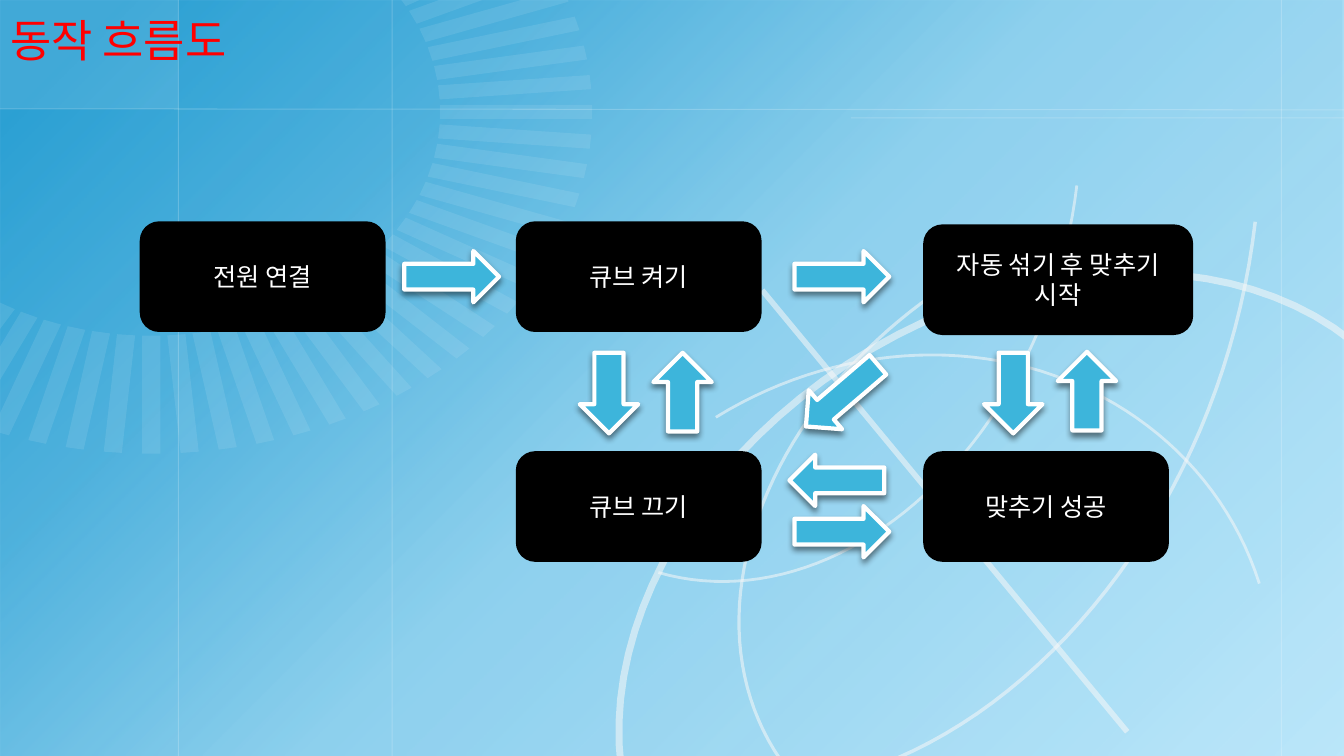
"""Build the flow chart slide of a motorised cube."""

import dataclasses
import math
import typing

import lxml.etree
import pptx
import pptx.dml.color
import pptx.enum.shapes
import pptx.enum.text
import pptx.oxml.ns
import pptx.util

PX = 9144
SLIDE_WIDTH, SLIDE_HEIGHT = 1333, 750
TITLE_ONLY = 5
Preset = pptx.enum.shapes.MSO_SHAPE
Point = tuple[float, float]
qn = pptx.oxml.ns.qn


@dataclasses.dataclass(frozen=True)
class Theme:
    font: str = "Calibri"
    title_size: int = 32
    step_size: int = 18
    title: str = "FF0000"
    sky: str = "BCE7FA"
    deep: str = "0F92CC"
    white: str = "FFFFFF"
    ray: str = "F2FAFE"
    orbit: str = "F8F8F8"
    step: str = "000000"
    arrow: str = "3DB5DB"


@dataclasses.dataclass(frozen=True)
class Step:
    text: str
    left: int
    top: int
    width: int = 241
    height: int = 107


@dataclasses.dataclass(frozen=True)
class Arrow:
    preset: Preset
    left: int
    top: int
    width: int
    height: int
    rotation: float = 0


@dataclasses.dataclass(frozen=True)
class Line:
    start: Point
    end: Point
    width: float = 0.75
    color: str = Theme.white
    opacity: int = 20


@dataclasses.dataclass(frozen=True)
class Orbit:
    width: float
    start: Point
    curves: tuple[tuple[Point, Point, Point], ...]


THEME = Theme()
STEPS = (
    Step("전원 연결", 140, 221),
    Step("큐브 켜기", 513, 221),
    Step("자동 섞기 후 맞추기 시작", 917, 224, 265),
    Step("큐브 끄기", 513, 449),
    Step("맞추기 성공", 917, 449),
)
ARROWS = (
    Arrow(Preset.RIGHT_ARROW, 401, 249, 94, 51),
    Arrow(Preset.RIGHT_ARROW, 788, 249, 94, 51),
    Arrow(Preset.DOWN_ARROW, 575, 350, 58, 80),
    Arrow(Preset.DOWN_ARROW, 648, 350, 58, 78, 180),
    Arrow(Preset.DOWN_ARROW, 976, 350, 58, 80),
    Arrow(Preset.DOWN_ARROW, 1049, 349, 58, 78, 180),
    Arrow(Preset.RIGHT_ARROW, 788, 367, 94, 51, 139.4),
    Arrow(Preset.RIGHT_ARROW, 783, 451, 94, 51, 180),
    Arrow(Preset.RIGHT_ARROW, 788, 502, 94, 51),
)
GUIDES = tuple(Line((x, 0), (x, SLIDE_HEIGHT)) for x in (177, 389, 1271)) + (
    Line((0, 108), (SLIDE_WIDTH, 109)),
    Line((844, 117), (SLIDE_WIDTH, 117)),
)
AXIS = Line((756, 288), (1118, 726), 4, THEME.orbit, 55)
ORBITS = (
    Orbit(5, (641, 845), (((562, 686), (661, 465), (865, 346)),
                          ((1069, 227), (1305, 252), (1398, 403)))),
    Orbit(2, (710, 414), (((809, 353), (927, 336), (1032, 368)),
                          ((1137, 401), (1217, 478), (1249, 579)))),
    Orbit(2.25, (953, 274), (((848, 339), (771, 436), (744, 538)),
                             ((716, 639), (742, 735), (812, 796)))),
    Orbit(2, (653, 568), (((739, 593), (837, 565), (918, 490)),
                          ((999, 416), (1054, 303), (1068, 184)))),
    Orbit(2.5, (648, 771), (((773, 808), (913, 767), (1029, 660)),
                            ((1146, 552), (1225, 391), (1245, 220)))),
)


def rgb(color: str) -> pptx.dml.color.RGBColor:
    return pptx.dml.color.RGBColor.from_string(color)


def add_effects(shape: typing.Any) -> typing.Any:
    return lxml.etree.SubElement(shape.element.spPr, qn("a:effectLst"))


def set_opacity(shape: typing.Any, percents: typing.Sequence[int]) -> None:
    for color, percent in zip(shape.element.spPr.iter(qn("a:srgbClr")), percents):
        lxml.etree.SubElement(color, qn("a:alpha"), val=str(percent * 1000))


def paint(shape: typing.Any, fill: str, line: str = "", width: float = 0) -> None:
    shape.fill.solid()
    shape.fill.fore_color.rgb = rgb(fill)
    if line:
        shape.line.color.rgb = rgb(line)
        shape.line.width = pptx.util.Pt(width)
    else:
        shape.line.fill.background()


def add_preset(shapes: typing.Any, preset: Preset, *box: int) -> typing.Any:
    return shapes.add_shape(preset, *(length * PX for length in box))


def add_outline(shapes: typing.Any, points: list[Point], close: bool) -> typing.Any:
    scaled = [(round(x * PX), round(y * PX)) for x, y in points]
    builder = shapes.build_freeform(*scaled[0], scale=1.0)
    builder.add_line_segments(scaled[1:], close=close)
    shape = builder.convert_to_shape()
    shape.shadow.inherit = False
    return shape


def add_line(shapes: typing.Any, line: Line) -> None:
    ends = (round(length * PX) for length in (*line.start, *line.end))
    connector = shapes.add_connector(pptx.enum.shapes.MSO_CONNECTOR.STRAIGHT, *ends)
    connector.line.color.rgb = rgb(line.color)
    connector.line.width = pptx.util.Pt(line.width)
    set_opacity(connector, [line.opacity])
    add_effects(connector)


def add_gradient(shapes: typing.Any) -> None:
    shape = add_preset(shapes, Preset.RECTANGLE, 0, 0, SLIDE_WIDTH, SLIDE_HEIGHT)
    shape.line.fill.background()
    gradient = lxml.etree.Element(qn("a:gradFill"), rotWithShape="1")
    stops = lxml.etree.SubElement(gradient, qn("a:gsLst"))
    for position in (6, 26, 50, 100):
        stop = lxml.etree.SubElement(stops, qn("a:gs"), pos=str(position * 1000))
        lxml.etree.SubElement(stop, qn("a:srgbClr"), val=THEME.deep)
    lxml.etree.SubElement(gradient, qn("a:lin"), ang=str(45 * 60000), scaled="0")
    shape.element.spPr.find(qn("a:prstGeom")).addnext(gradient)
    set_opacity(shape, (83, 63, 27, 0))
    shape.shadow.inherit = False


def add_rays(shapes: typing.Any) -> None:
    center_x, center_y, stretch = 150, 111, 1.29
    inner, outer, half = 222, 339, 7
    for degrees in range(-30, 121, 5):
        cos, sin = math.cos(math.radians(degrees)), math.sin(math.radians(degrees))
        corners = ((inner, -half), (outer, -half), (outer, half), (inner, half))
        points = [(center_x + stretch * (radius * cos - side * sin),
                   center_y + radius * sin + side * cos) for radius, side in corners]
        ray = add_outline(shapes, points, True)
        paint(ray, THEME.ray)
        set_opacity(ray, [10])


def add_orbit(shapes: typing.Any, orbit: Orbit) -> None:
    points = [orbit.start]
    for curve in orbit.curves:
        controls = (points[-1], *curve)
        for number in range(1, 25):
            t = number / 24
            weights = [math.comb(3, k) * t**k * (1 - t) ** (3 - k) for k in range(4)]
            points.append((sum(w * p[0] for w, p in zip(weights, controls)),
                           sum(w * p[1] for w, p in zip(weights, controls))))
    shape = add_outline(shapes, points, False)
    shape.fill.background()
    shape.line.color.rgb = rgb(THEME.orbit)
    shape.line.width = pptx.util.Pt(orbit.width)
    set_opacity(shape, [55])


def write(shape: typing.Any, text: str, size: int, color: str,
          align: pptx.enum.text.PP_ALIGN, anchor: pptx.enum.text.MSO_ANCHOR) -> None:
    frame = shape.text_frame
    frame.text = text
    frame.word_wrap = True
    frame.auto_size = pptx.enum.text.MSO_AUTO_SIZE.NONE
    frame.vertical_anchor = anchor
    paragraph = frame.paragraphs[0]
    paragraph.alignment = align
    font = paragraph.runs[0].font
    font.name, font.size, font.color.rgb = THEME.font, pptx.util.Pt(size), rgb(color)


def add_step(shapes: typing.Any, step: Step) -> None:
    shape = add_preset(shapes, Preset.ROUNDED_RECTANGLE, step.left, step.top, step.width, step.height)
    paint(shape, THEME.step, THEME.step, 2)
    shape.shadow.inherit = False
    write(shape, step.text, THEME.step_size, THEME.white,
          pptx.enum.text.PP_ALIGN.CENTER, pptx.enum.text.MSO_ANCHOR.MIDDLE)


def add_arrow(shapes: typing.Any, arrow: Arrow) -> None:
    shape = add_preset(shapes, arrow.preset, arrow.left, arrow.top, arrow.width, arrow.height)
    shape.rotation = arrow.rotation
    paint(shape, THEME.arrow, THEME.white, 3)
    shadow = lxml.etree.SubElement(
        add_effects(shape), qn("a:outerShdw"), blurRad=str(pptx.util.Pt(4.5)),
        dist=str(pptx.util.Pt(3)), dir=str(90 * 60000), rotWithShape="0")
    color = lxml.etree.SubElement(shadow, qn("a:srgbClr"), val=THEME.step)
    lxml.etree.SubElement(color, qn("a:alpha"), val="48000")


def add_backdrop(slide: typing.Any) -> None:
    slide.background.fill.solid()
    slide.background.fill.fore_color.rgb = rgb(THEME.sky)
    add_gradient(slide.shapes)
    corner = add_preset(slide.shapes, Preset.RECTANGLE, 0, 0, 177, 108)
    paint(corner, THEME.white)
    set_opacity(corner, [10])
    corner.shadow.inherit = False
    for guide in GUIDES:
        add_line(slide.shapes, guide)
    add_rays(slide.shapes.add_group_shape().shapes)
    orbits = slide.shapes.add_group_shape().shapes
    add_line(orbits, AXIS)
    for orbit in ORBITS:
        add_orbit(orbits, orbit)


def place_title(slide: typing.Any) -> None:
    title = slide.shapes.title
    title.left, title.top, title.width, title.height = 0, 0, 1267 * PX, 71 * PX
    write(title, "동작 흐름도", THEME.title_size, THEME.title,
          pptx.enum.text.PP_ALIGN.LEFT, pptx.enum.text.MSO_ANCHOR.BOTTOM)
    title.element.getparent().append(title.element)


def main() -> None:
    presentation = pptx.Presentation()
    presentation.slide_width, presentation.slide_height = SLIDE_WIDTH * PX, SLIDE_HEIGHT * PX
    slide = presentation.slides.add_slide(presentation.slide_layouts[TITLE_ONLY])
    add_backdrop(slide)
    place_title(slide)
    for step in STEPS:
        add_step(slide.shapes, step)
    for arrow in ARROWS:
        add_arrow(slide.shapes, arrow)
    presentation.save("out.pptx")


if __name__ == "__main__":
    main()
